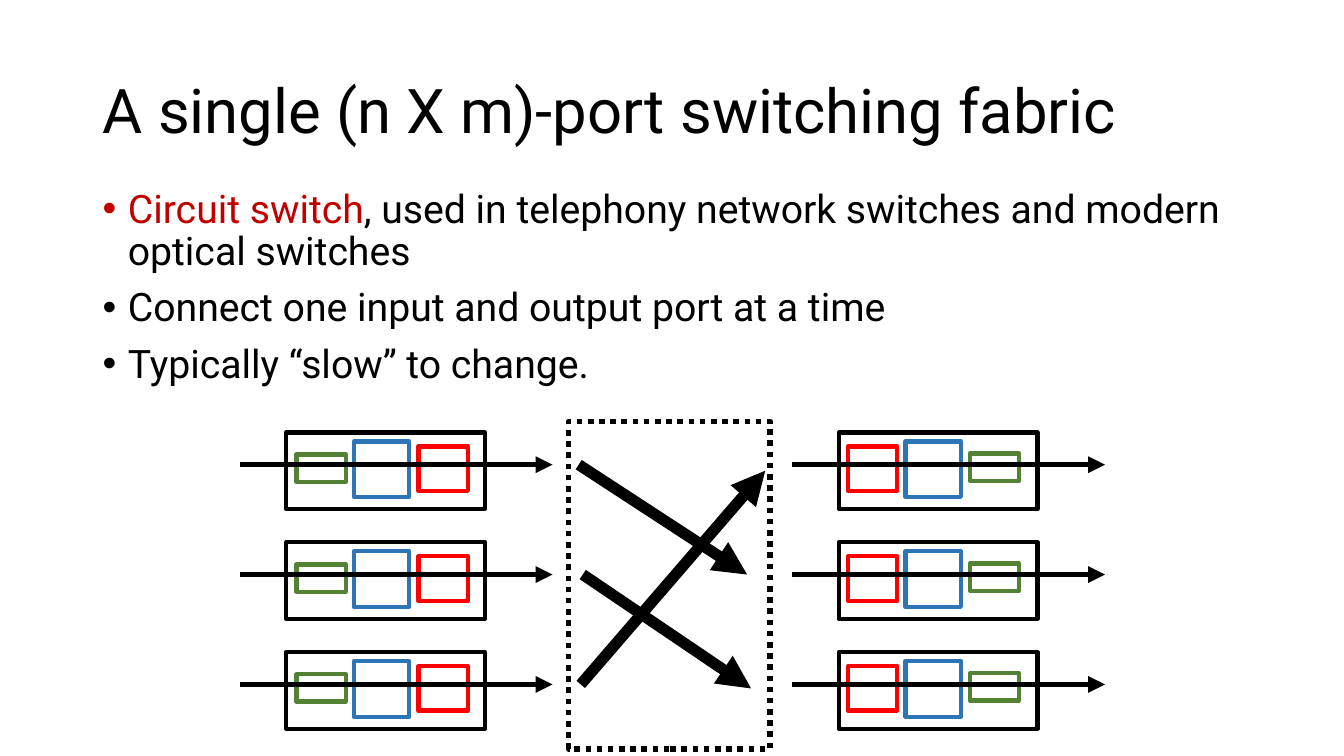
from dataclasses import dataclass

from lxml import etree
from pptx import Presentation
from pptx import util as u
from pptx.dml.color import RGBColor
from pptx.enum import dml, shapes, text
from pptx.oxml import ns


@dataclass(frozen=True)
class Theme:
    """Colours, font, type sizes and line widths of the slide."""
    font: str = "Roboto"
    ink: str = "000000"
    accent: str = "C00000"
    green: str = "548235"
    blue: str = "2E75B6"
    red: str = "FF0000"
    title_size: int = 44
    body_size: int = 28
    box_line: int = 3
    port_line: int = 4
    path_line: int = 8


THEME = Theme()
BULLETS = [
    [("Circuit switch", THEME.accent),
     (", used in telephony network switches and modern optical switches", THEME.ink)],
    [("Connect one input and output port at a time", THEME.ink)],
    [("Typically “slow” to change.", THEME.ink)],
]
INPUT_STAGES = [
    (0.1, 0.22, 0.49, 0.27, THEME.green),
    (1.31, 0.14, 0.49, 0.44, THEME.red),
    (0.67, 0.09, 0.55, 0.55, THEME.blue),
]
OUTPUT_STAGES = [
    (1.3, 0.21, 0.49, 0.27, THEME.green),
    (0.09, 0.14, 0.49, 0.44, THEME.red),
    (0.66, 0.09, 0.55, 0.55, THEME.blue),
]
FABRIC_PATHS = [
    (0.1, 0.43, 1.77, 1.52),
    (0.12, 2.61, 1.95, 0.49),
    (0.14, 1.52, 1.81, 2.65),
]


def add_text_frame(slide, left, top, width, height, anchor):
    """Add a wrapping text box and return its text frame."""
    box = slide.shapes.add_textbox(*map(u.Inches, (left, top, width, height)))
    frame = box.text_frame
    frame.word_wrap = True
    frame.vertical_anchor = anchor
    return frame


def style_run(run, size, color):
    """Set the font, size and colour of a run."""
    run.font.name = THEME.font
    run.font.size = u.Pt(size)
    run.font.color.rgb = RGBColor.from_string(color)


def add_title(slide, left, top, width, height):
    """Write the slide title, centred vertically in its box."""
    frame = add_text_frame(slide, left, top, width, height, text.MSO_ANCHOR.MIDDLE)
    frame.text = "A single (n X m)-port switching fabric"
    paragraph = frame.paragraphs[0]
    paragraph.line_spacing = 0.9
    style_run(paragraph.runs[0], THEME.title_size, THEME.ink)


def add_bullet(paragraph):
    """Give a paragraph a hanging round bullet."""
    properties = paragraph._p.get_or_add_pPr()
    properties.set("marL", str(u.Inches(0.25)))
    properties.set("indent", str(u.Inches(-0.25)))
    etree.SubElement(properties, ns.qn("a:buFont")).set("typeface", "Arial")
    etree.SubElement(properties, ns.qn("a:buChar")).set("char", "•")


def add_body(slide, left, top, width, height):
    """Write the bulleted list."""
    frame = add_text_frame(slide, left, top, width, height, text.MSO_ANCHOR.TOP)
    for index, parts in enumerate(BULLETS):
        paragraph = frame.add_paragraph() if index else frame.paragraphs[0]
        paragraph.line_spacing = 0.9
        paragraph.space_before = u.Pt(10)
        add_bullet(paragraph)
        for words, color in parts:
            run = paragraph.add_run()
            run.text = words
            style_run(run, THEME.body_size, color)


def add_outline(group, left, top, width, height, color, weight):
    """Add an unfilled rectangle and return it."""
    shape = group.shapes.add_shape(
        shapes.MSO_SHAPE.RECTANGLE, *map(u.Inches, (left, top, width, height)))
    shape.shadow.inherit = False
    shape.fill.background()
    shape.line.color.rgb = RGBColor.from_string(color)
    shape.line.width = u.Pt(weight)
    return shape


def add_arrow(group, start_x, start_y, end_x, end_y, weight):
    """Add a straight arrow with a triangular head."""
    arrow = group.shapes.add_connector(
        shapes.MSO_CONNECTOR.STRAIGHT,
        *map(u.Inches, (start_x, start_y, end_x, end_y)))
    arrow.line.color.rgb = RGBColor.from_string(THEME.ink)
    arrow.line.width = u.Pt(weight)
    head = etree.SubElement(arrow.line._get_or_add_ln(), ns.qn("a:tailEnd"))
    head.set("type", "triangle")
    etree.SubElement(arrow._element.spPr, ns.qn("a:effectLst"))


def add_port(slide, left, top, width, height, stages):
    """Draw one port: a frame, its three stages and the arrow through them."""
    group = slide.shapes.add_group_shape()
    add_outline(group, left, top, width, height, THEME.ink, THEME.box_line)
    for x, y, stage_width, stage_height, color in stages:
        add_outline(group, left + x, top + y, stage_width, stage_height,
                    color, THEME.box_line)
    middle = top + 0.32
    add_arrow(group, left - 0.46, middle, left + 2.64, middle, THEME.port_line)


def add_port_column(slide, left, top, width, height, stages):
    """Stack three ports evenly over the height of the column."""
    port_height = 0.76
    pitch = (height - port_height) / 2
    for row in range(3):
        add_port(slide, left, top + row * pitch, width, port_height, stages)


def add_fabric(slide, left, top, width, height):
    """Draw the dotted switching fabric and the paths crossing it."""
    group = slide.shapes.add_group_shape()
    frame = add_outline(group, left, top, width, height, THEME.ink, THEME.port_line)
    frame.line.dash_style = dml.MSO_LINE.ROUND_DOT
    for start_x, start_y, end_x, end_y in FABRIC_PATHS:
        add_arrow(group, left + start_x, top + start_y,
                  left + end_x, top + end_y, THEME.path_line)


def main():
    """Build and save the slide."""
    presentation = Presentation()
    presentation.slide_width = u.Inches(13.33)
    presentation.slide_height = u.Inches(7.5)
    slide = presentation.slides.add_slide(presentation.slide_layouts[6])
    add_title(slide, 0.92, 0.4, 11.5, 1.45)
    add_body(slide, 0.92, 1.83, 11.5, 4.76)
    add_port_column(slide, 2.84, 4.29, 1.97, 2.94, INPUT_STAGES)
    add_port_column(slide, 8.32, 4.29, 1.97, 2.94, OUTPUT_STAGES)
    add_fabric(slide, 5.64, 4.18, 2, 3.25)
    presentation.save("out.pptx")


if __name__ == "__main__":
    main()
